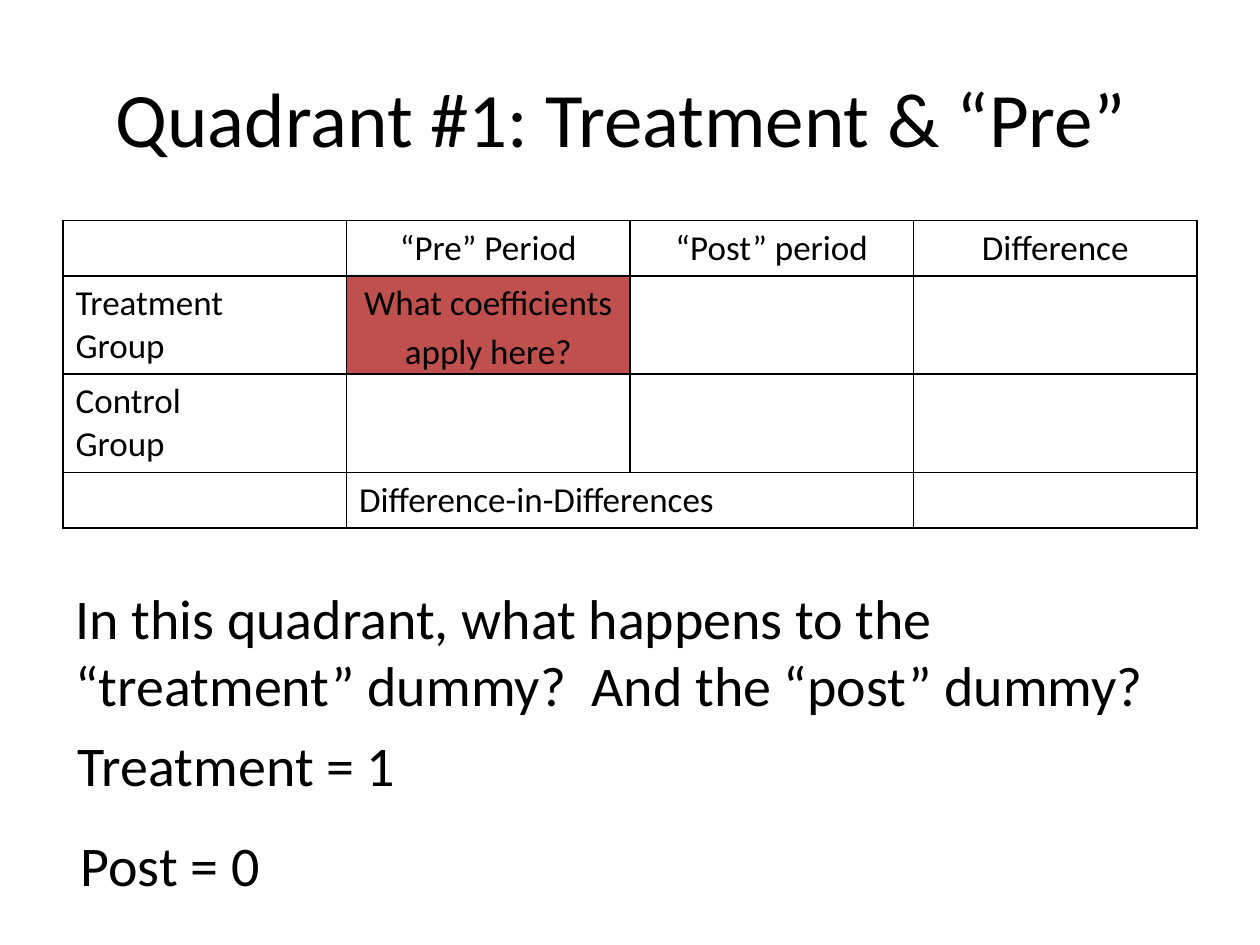
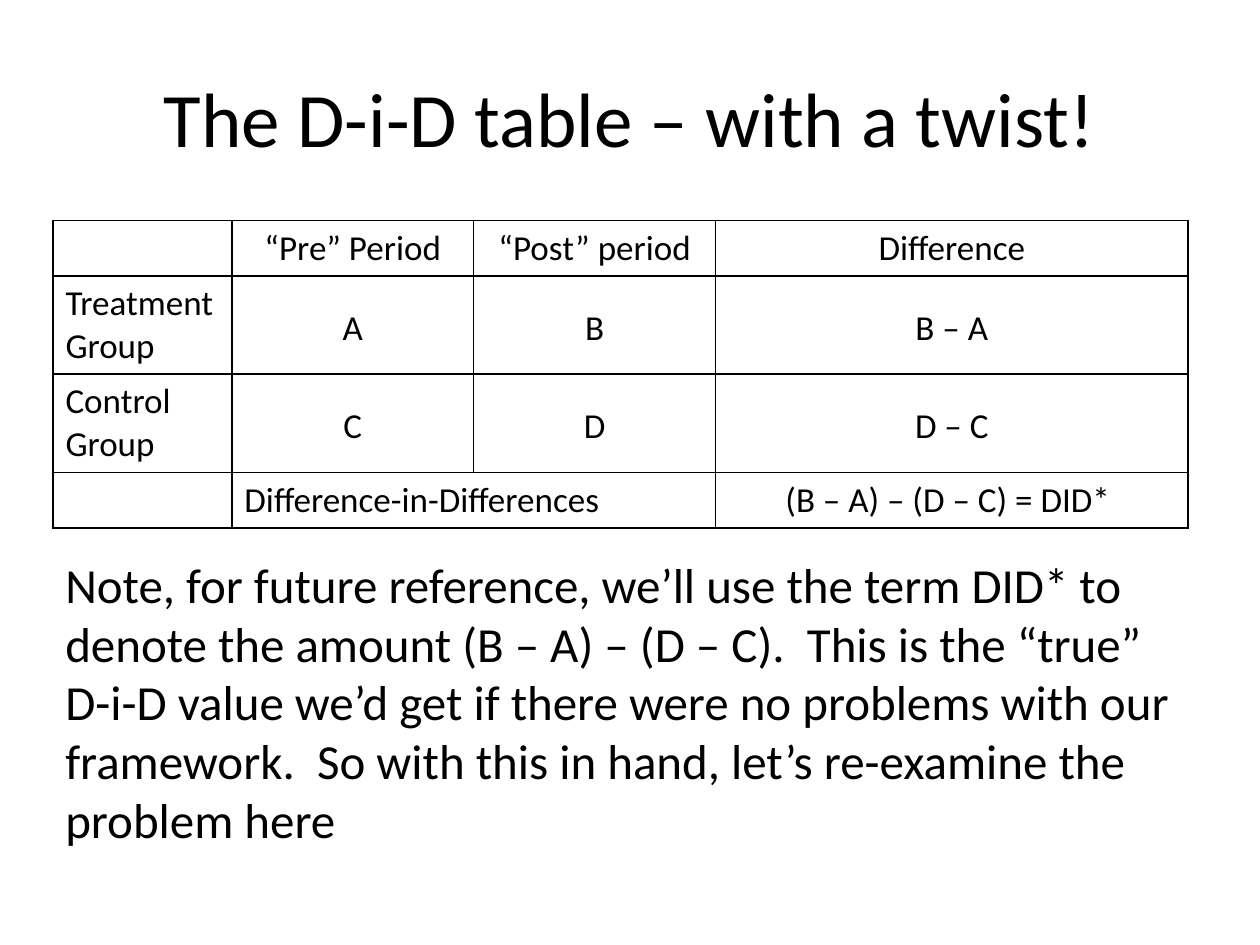
from lxml.etree import SubElement
from pptx import Presentation
from pptx.dml.color import RGBColor
from pptx.enum.text import MSO_ANCHOR as Anchor, PP_ALIGN as Align
from pptx.oxml.ns import qn
from pptx.util import Inches, Pt

COLORS = {"ink": "000000", "highlight": "C0504D"}
FONT = "Calibri"
ROW_HEIGHTS = (0.44, 0.78, 0.78, 0.44)
HEADINGS = ("“Pre” Period", "“Post” period", "Difference")
GROUPS = ("Treatment", "Control")


def add_text(frame, lines, size, align=Align.LEFT, spacing=None):
    """Write each line as a paragraph of the frame."""
    for index, line in enumerate(lines):
        para = frame.add_paragraph() if index else frame.paragraphs[0]
        para.alignment = align
        if spacing:
            para.line_spacing = spacing
        span = para.add_run()
        span.text = line
        span.font.name = FONT
        span.font.size = Pt(size)
        span.font.color.rgb = RGBColor.from_string(COLORS["ink"])


def add_box(page, area, text, size, align=Align.LEFT, anchor=Anchor.TOP):
    """Add a wrapping text box to the page."""
    box = page.shapes.add_textbox(*map(Inches, area))
    box.text_frame.word_wrap = True
    box.text_frame.vertical_anchor = anchor
    add_text(box.text_frame, [text], size, align)


def add_title(page, text):
    """Add the centred slide title."""
    add_box(page, (0.5, 0.3, 9, 1.25), text, 44, Align.CENTER, Anchor.MIDDLE)


def style_cell(cell, fill=None):
    """Outline a cell and give it its fill."""
    properties = cell._tc.get_or_add_tcPr()
    for side in ("lnL", "lnR", "lnT", "lnB"):
        line = SubElement(properties, qn(f"a:{side}"), w=str(Pt(1)))
        paint = SubElement(line, qn("a:solidFill"))
        SubElement(paint, qn("a:srgbClr"), val=COLORS["ink"])
    if fill:
        cell.fill.solid()
        cell.fill.fore_color.rgb = RGBColor.from_string(COLORS[fill])
    else:
        cell.fill.background()


def fill_value(cell, text):
    """Write a centred value in a quadrant cell."""
    cell.vertical_anchor = Anchor.MIDDLE
    cell.margin_left = cell.margin_right = Inches(0.07)
    cell.margin_top = cell.margin_bottom = 0
    add_text(cell.text_frame, [text], 20, Align.CENTER, 1.15)


def add_did_table(page, left, top, widths, values, result="", highlight=None):
    """Add the difference-in-differences grid with values keyed by (row, column)."""
    area = (left, top, sum(widths), sum(ROW_HEIGHTS))
    table = page.shapes.add_table(len(ROW_HEIGHTS), len(widths), *map(Inches, area)).table
    table.first_row = table.horz_banding = False
    for column, width in zip(table.columns, widths):
        column.width = Inches(width)
    for index, height in enumerate(ROW_HEIGHTS):
        table.rows[index].height = Inches(height)
        for column in range(len(widths)):
            fill = "highlight" if (index, column) == highlight else None
            style_cell(table.cell(index, column), fill)
    for column, heading in enumerate(HEADINGS, 1):
        add_text(table.cell(0, column).text_frame, [heading], 20, Align.CENTER)
    for row, group in enumerate(GROUPS, 1):
        add_text(table.cell(row, 0).text_frame, [group, "Group"], 20)
    for position, value in values.items():
        fill_value(table.cell(*position), value)
    table.cell(3, 1).merge(table.cell(3, 2))
    add_text(table.cell(3, 1).text_frame, ["Difference-in-Differences"], 20)
    if result:
        add_text(table.cell(3, 3).text_frame, [result], 20, Align.CENTER)


def build_quadrant(page):
    """Build the slide that asks about the first quadrant."""
    add_title(page, "Quadrant #1: Treatment & “Pre” ")
    quadrant = (1, 1)
    add_did_table(page, 0.5, 1.75, [2.25] * 4,
                  {quadrant: "What coefficients apply here?"}, highlight=quadrant)
    add_box(page, (0.5, 4.58, 9.08, 1.18),
            "In this quadrant, what happens to the “treatment” dummy?  And the “post” dummy?", 32)
    add_box(page, (0.52, 5.75, 9.08, 0.64), "Treatment = 1", 32)
    add_box(page, (0.54, 6.54, 9.08, 0.64), "Post = 0", 32)


def build_twist(page):
    """Build the slide that defines the true difference."""
    add_title(page, "The D-i-D table – with a twist!")
    rows = (("A", "B", "B – A"), ("C", "D", "D – C"))
    values = {(row, column): value
              for row, texts in enumerate(rows, 1)
              for column, value in enumerate(texts, 1)}
    add_did_table(page, 0.42, 1.75, [1.42, 1.92, 1.92, 3.75], values,
                  "(B – A) – (D – C) = DID* ")
    add_box(page, (0.42, 4.35, 9, 2.46),
            "Note, for future reference, we’ll use the term DID* to denote the amount "
            "(B – A) – (D – C).  This is the “true” D-i-D value we’d get if there were "
            "no problems with our framework.  So with this in hand, let’s re-examine "
            "the problem here", 28)


def main():
    """Build and save the deck."""
    deck = Presentation()
    deck.slide_width, deck.slide_height = Inches(10), Inches(7.5)
    for build in (build_quadrant, build_twist):
        build(deck.slides.add_slide(deck.slide_layouts[6]))
    deck.save("out.pptx")


if __name__ == "__main__":
    main()
